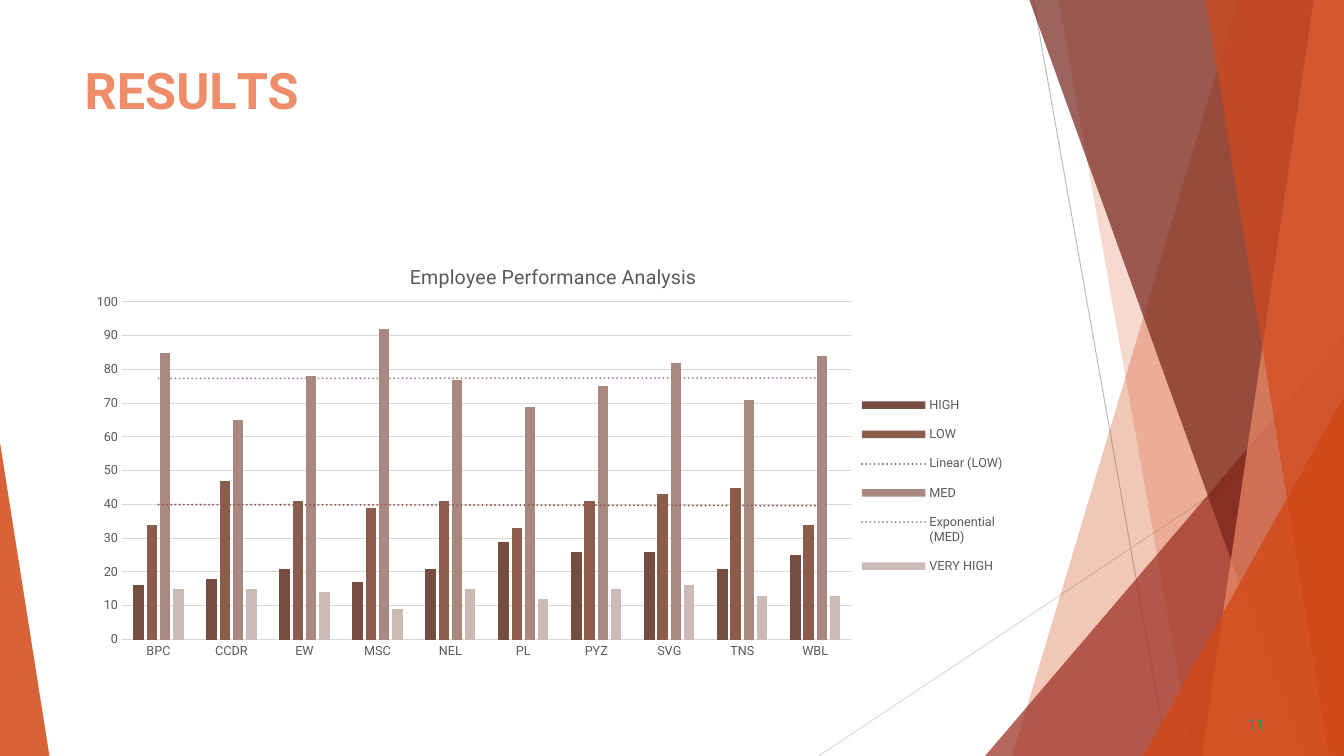
import lxml.etree
import pptx
import pptx.chart.data
import pptx.dml.color
import pptx.enum.chart
import pptx.enum.shapes
import pptx.oxml
import pptx.oxml.ns
import pptx.util

Inches = pptx.util.Inches
Pt = pptx.util.Pt
qn = pptx.oxml.ns.qn

FONT = "Roboto"
WIDTH, HEIGHT = 13.33, 7.5
COLOURS = {
    "orange": "D34817", "peach": "EF8C6A", "red": "9B2D1F", "maroon": "742217",
    "green": "2D936B", "grey": "BFBFBF", "light": "D9D9D9", "text": "595959",
    "high": "764D40", "low": "8C5C4C", "med": "A9887F", "very_high": "CBBAB6",
}
FACETS = [
    (12.28, 10.04, "orange", 30),
    (10.5, 11.83, "orange", 20),
    (10.21, 12.91, "maroon", 70),
    (13.03, 11.92, "peach", 70),
    (11.96, 13.18, "orange", 65),
]
CATEGORIES = ["BPC", "CCDR", "EW", "MSC", "NEL", "PL", "PYZ", "SVG", "TNS", "WBL"]
SERIES = [
    ("HIGH", "high", None, [16, 18, 21, 17, 21, 29, 26, 26, 21, 25]),
    ("LOW", "low", "linear", [34, 47, 41, 39, 41, 33, 41, 43, 45, 34]),
    ("MED", "med", "exp", [85, 65, 78, 92, 77, 69, 75, 82, 71, 84]),
    ("VERY HIGH", "very_high", None, [15, 15, 14, 9, 15, 12, 15, 16, 13, 13]),
]


def rgb(name):
    return pptx.dml.color.RGBColor.from_string(COLOURS[name])


def set_attributes(target, values):
    for name, value in values.items():
        setattr(target, name, value)


def style_font(font, size, colour, bold=False):
    set_attributes(font, {"name": FONT, "size": Pt(size), "bold": bold})
    font.color.rgb = rgb(colour)


def style_line(line, colour, width=0.75):
    line.color.rgb = rgb(colour)
    line.width = Pt(width)


def paint(shape, colour, opacity):
    shape.shadow.inherit = False
    shape.fill.solid()
    shape.fill.fore_color.rgb = rgb(colour)
    shape.line.fill.background()
    colour_element = shape.fill._xPr.find(qn("a:solidFill"))[0]
    alpha = lxml.etree.SubElement(colour_element, qn("a:alpha"))
    alpha.set("val", str(opacity * 1000))


def add_line(slide, start, end, colour):
    points = [Inches(value) for value in (*start, *end)]
    connector = slide.shapes.add_connector(
        pptx.enum.shapes.MSO_CONNECTOR.STRAIGHT, *points)
    style_line(connector.line, colour)
    lxml.etree.SubElement(connector.element.spPr, qn("a:effectLst"))


def add_facet(slide, top_x, bottom_x, colour, opacity):
    builder = slide.shapes.build_freeform(Inches(top_x), 0)
    corners = [(WIDTH, 0), (WIDTH, HEIGHT), (bottom_x, HEIGHT)]
    builder.add_line_segments([(Inches(x), Inches(y)) for x, y in corners])
    paint(builder.convert_to_shape(), colour, opacity)


def add_triangle(slide, left, top, width, apex, colour, opacity):
    shape = slide.shapes.add_shape(
        pptx.enum.shapes.MSO_SHAPE.ISOSCELES_TRIANGLE,
        Inches(left), Inches(top), Inches(width), Inches(HEIGHT - top))
    shape.adjustments[0] = apex
    paint(shape, colour, opacity)


def add_text(slide, box, runs, size, colour, bold, space_before, indent):
    shape = slide.shapes.add_textbox(*[Inches(value) for value in box])
    frame = shape.text_frame
    set_attributes(frame, {
        "word_wrap": True, "margin_left": 0, "margin_right": 0,
        "margin_top": Inches(0.01), "margin_bottom": 0})
    paragraph = frame.paragraphs[0]
    paragraph.space_before = Pt(space_before)
    paragraph._p.get_or_add_pPr().set("marL", str(Inches(indent)))
    for text, spacing in runs:
        run = paragraph.add_run()
        run.text = text
        style_font(run.font, size, colour, bold)
        run._r.get_or_add_rPr().set("spc", str(round(spacing * 100)))


def make_layout(x, y, width=None, height=None, inner=False):
    layout = lxml.etree.Element(qn("c:layout"))
    manual = lxml.etree.SubElement(layout, qn("c:manualLayout"))
    values = [("layoutTarget", "inner" if inner else None),
              ("xMode", "edge"), ("yMode", "edge"),
              ("x", x), ("y", y), ("w", width), ("h", height)]
    for tag, value in values:
        if value is not None:
            lxml.etree.SubElement(manual, qn("c:" + tag)).set("val", str(value))
    return layout


def place(parent, layout):
    for old in parent.findall(qn("c:layout")):
        parent.remove(old)
    overlay = parent.find(qn("c:overlay"))
    if overlay is None:
        parent.insert(0, layout)
    else:
        overlay.addprevious(layout)


def add_trendline(series, kind, colour):
    trendline = pptx.oxml.parse_xml(
        f'<c:trendline {pptx.oxml.ns.nsdecls("c", "a")}>'
        f'<c:spPr><a:ln w="{Pt(1.5)}" cap="rnd"><a:solidFill>'
        f'<a:srgbClr val="{COLOURS[colour]}"/></a:solidFill>'
        '<a:prstDash val="sysDot"/></a:ln></c:spPr>'
        f'<c:trendlineType val="{kind}"/>'
        '<c:dispRSqr val="0"/><c:dispEq val="0"/></c:trendline>')
    series._element.find(qn("c:cat")).addprevious(trendline)


def style_axes(chart):
    for axis in (chart.category_axis, chart.value_axis):
        axis.major_tick_mark = pptx.enum.chart.XL_TICK_MARK.NONE
        style_font(axis.tick_labels.font, 9, "text")
    style_line(chart.category_axis.format.line, "light")
    set_attributes(chart.value_axis, {
        "minimum_scale": 0, "maximum_scale": 100, "major_unit": 10,
        "has_major_gridlines": True})
    chart.value_axis.format.line.fill.background()
    style_line(chart.value_axis.major_gridlines.format.line, "light")


def add_performance_chart(slide):
    data = pptx.chart.data.CategoryChartData()
    data.categories = CATEGORIES
    for name, _, _, values in SERIES:
        data.add_series(name, values)
    chart = slide.shapes.add_chart(
        pptx.enum.chart.XL_CHART_TYPE.COLUMN_CLUSTERED,
        Inches(0.74), Inches(2.36), Inches(9.4), Inches(4.24), data).chart
    style_font(chart.font, 10, "text")
    set_attributes(chart, {"has_title": True, "has_legend": True})
    title = chart.chart_title.text_frame
    title.text = "Employee Performance Analysis"
    style_font(title.paragraphs[0].runs[0].font, 14, "text")
    set_attributes(chart.legend, {
        "position": pptx.enum.chart.XL_LEGEND_POSITION.RIGHT,
        "include_in_layout": False})
    style_font(chart.legend.font, 9, "text")
    plot = chart.plots[0]
    set_attributes(plot, {
        "gap_width": 219, "overlap": -27, "vary_by_categories": False})
    for series, (_, colour, trend, _) in zip(plot.series, SERIES):
        series.format.fill.solid()
        series.format.fill.fore_color.rgb = rgb(colour)
        if trend:
            add_trendline(series, trend, colour)
    style_axes(chart)
    layouts = {
        "c:title": make_layout(0.35, 0.05),
        "c:plotArea": make_layout(0.05, 0.15, 0.77, 0.79, inner=True),
        "c:legend": make_layout(0.82, 0.34, 0.17, 0.48),
    }
    for tag, layout in layouts.items():
        place(chart.element.find(".//" + qn("c:chart")).find(qn(tag)), layout)


def main():
    presentation = pptx.Presentation()
    presentation.slide_width = Inches(WIDTH)
    presentation.slide_height = Inches(HEIGHT)
    slide = presentation.slides.add_slide(presentation.slide_layouts[6])
    add_line(slide, (10.25, 0), (11.58, HEIGHT), "grey")
    add_line(slide, (WIDTH, 4.03), (8.12, HEIGHT), "light")
    for facet in FACETS[:2]:
        add_facet(slide, *facet)
    add_triangle(slide, 9.77, 3.33, 3.56, 1, "red", 72)
    for facet in FACETS[2:]:
        add_facet(slide, *facet)
    add_triangle(slide, 11.34, 3.93, 1.99, 1, "orange", 80)
    add_triangle(slide, 0, 4.39, 0.49, 0, "orange", 85)
    title_runs = [("R", 0), ("E", -0.4), ("S", 0.1), ("U", -0.3), ("L", -4), ("TS", 0)]
    add_text(slide, (0.83, 0.58, 9.4, 0.51), title_runs, 36, "peach", True, 1.1, 0.01)
    add_text(slide, (12.33, 7.08, 0.25, 0.16), [("11", 0.1)], 11, "green", False, 0.6, 0.04)
    add_performance_chart(slide)
    presentation.save("out.pptx")


if __name__ == "__main__":
    main()
